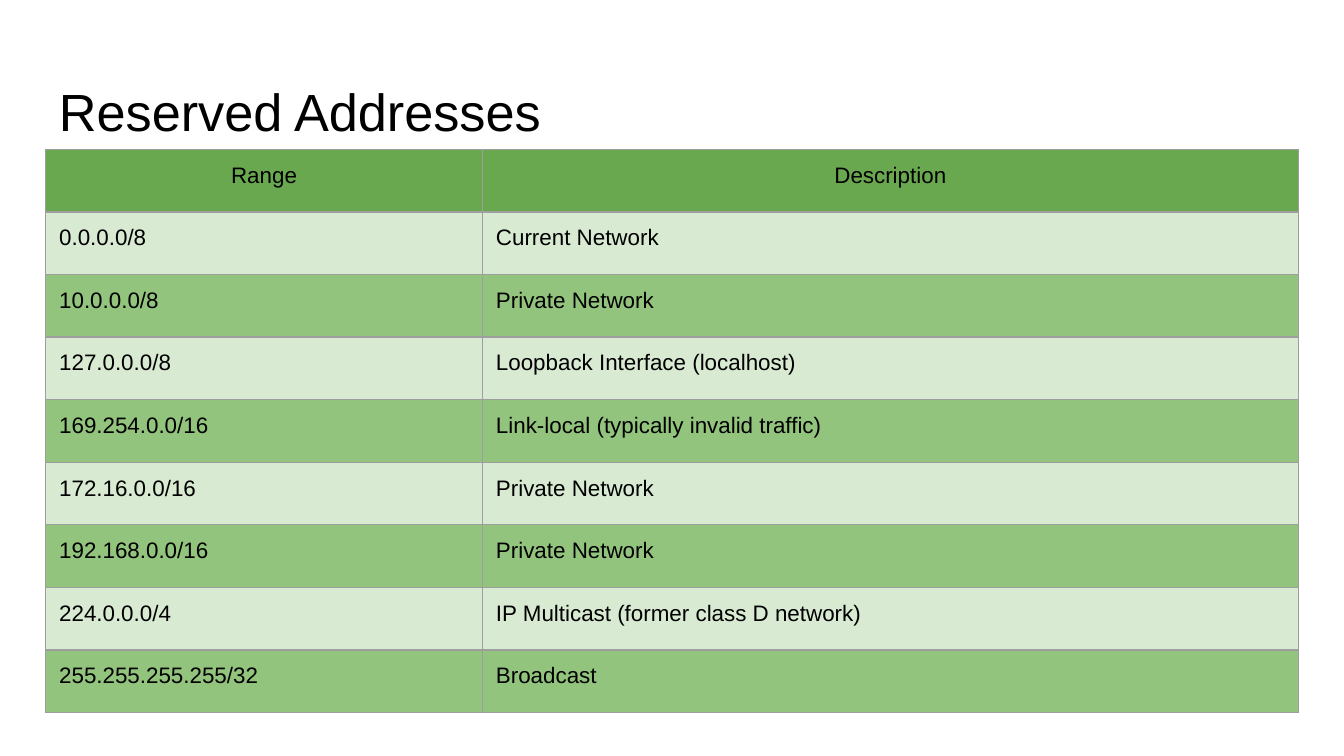
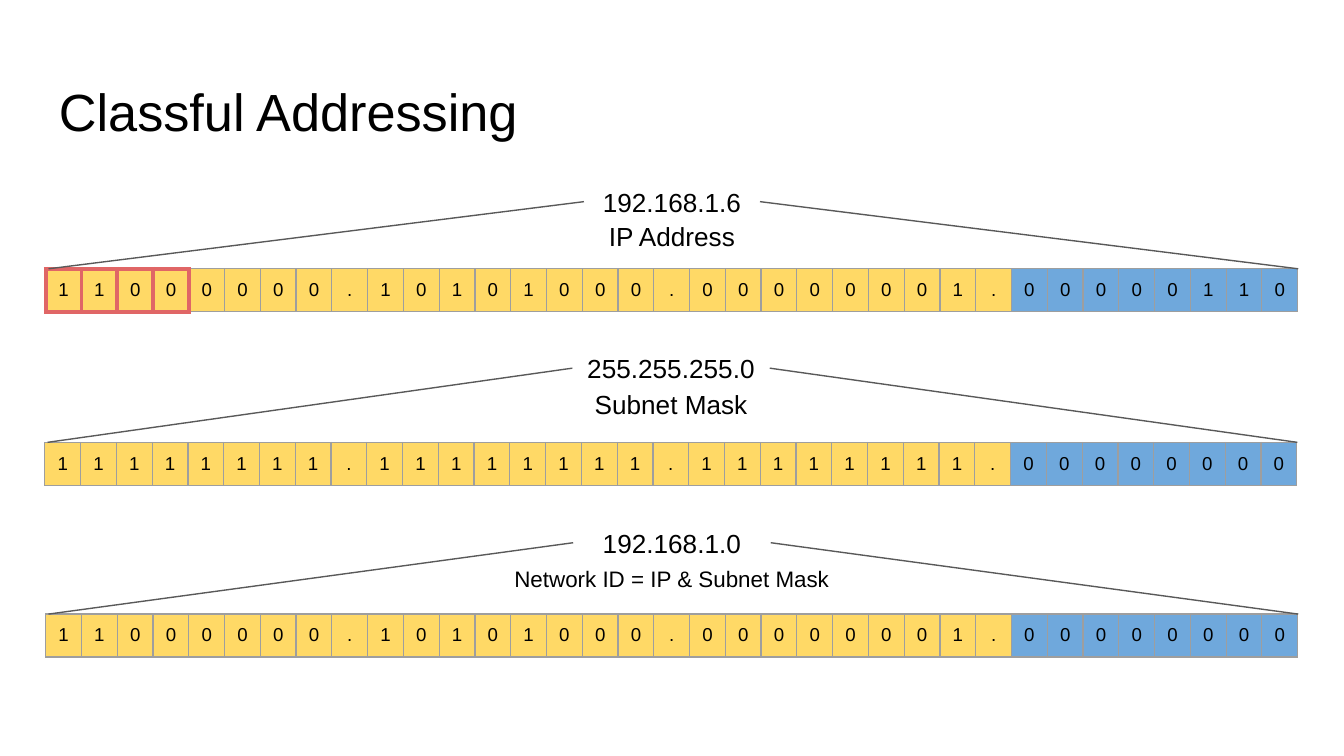
from dataclasses import dataclass
from lxml import etree
from pptx import Presentation
from pptx.dml.color import RGBColor
from pptx.enum.shapes import MSO_CONNECTOR
from pptx.enum.text import MSO_ANCHOR, PP_ALIGN
from pptx.oxml.ns import qn
from pptx.util import Pt

LEFT, MID = PP_ALIGN.LEFT, PP_ALIGN.CENTER
TOP, HALF = MSO_ANCHOR.TOP, MSO_ANCHOR.MIDDLE
LINE = MSO_CONNECTOR.STRAIGHT


@dataclass(frozen=True)
class Theme:
    font: str = "Arial"
    ink: str = "000000"
    ray: str = "595959"
    grid: str = "9E9E9E"
    mark: str = "E06666"
    head: str = "6AA84F"
    pale: str = "D9EAD3"
    green: str = "93C47D"
    net: str = "FFD966"
    host: str = "6FA8DC"
    title: int = 28
    label: int = 14
    body: int = 12
    bit: int = 10
    thin: float = 0.75
    thick: float = 2.25
    pad: float = 7.2


T = Theme()
X, WIDE = 24.5, 671
RANGES = [
    ("Range", "Description"),
    ("0.0.0.0/8", "Current Network"),
    ("10.0.0.0/8", "Private Network"),
    ("127.0.0.0/8", "Loopback Interface (localhost)"),
    ("169.254.0.0/16", "Link-local (typically invalid traffic)"),
    ("172.16.0.0/16", "Private Network"),
    ("192.168.0.0/16", "Private Network"),
    ("224.0.0.0/4", "IP Multicast (former class D network)"),
    ("255.255.255.255/32", "Broadcast"),
]


def write(frame, text, size=T.body, align=LEFT):
    par = frame.paragraphs[0]
    par.alignment = align
    run = par.add_run()
    run.text = text
    run.font.name = T.font
    run.font.size = Pt(size)
    run.font.color.rgb = RGBColor.from_string(T.ink)


def label(slide, text, box, anchor=HALF, **form):
    frame = slide.shapes.add_textbox(*map(Pt, box)).text_frame
    frame.word_wrap = True
    frame.vertical_anchor = anchor
    frame.margin_left = frame.margin_right = Pt(T.pad)
    frame.margin_top = frame.margin_bottom = Pt(T.pad)
    write(frame, text, **form)


def edge(cell, side, color, width):
    props = cell._tc.get_or_add_tcPr()
    line = etree.SubElement(props, qn("a:ln" + side), w=str(Pt(width)))
    fill = etree.SubElement(line, qn("a:solidFill"))
    etree.SubElement(fill, qn("a:srgbClr"), val=color)


def paint(cell, text, fill, pad=T.pad, anchor=TOP, marked="", **form):
    cell.margin_left = cell.margin_right = Pt(pad)
    cell.margin_top = cell.margin_bottom = Pt(pad)
    cell.vertical_anchor = anchor
    for side in "LRTB":
        if side in marked:
            edge(cell, side, T.mark, T.thick)
        else:
            edge(cell, side, T.grid, T.thin)
    cell.fill.solid()
    cell.fill.fore_color.rgb = RGBColor.from_string(fill)
    write(cell.text_frame, text, **form)


def grid(slide, box, rows, cols):
    table = slide.shapes.add_table(rows, len(cols), *map(Pt, box)).table
    table.first_row = table.horz_banding = False
    for col, width in zip(table.columns, cols):
        col.width = Pt(width)
    for row in table.rows:
        row.height = Pt(box[3] / rows)
    return table


def ray(slide, start, end):
    line = slide.shapes.add_connector(LINE, *map(Pt, start + end))
    line.line.color.rgb = RGBColor.from_string(T.ray)
    line.line.width = Pt(T.thin)
    etree.SubElement(line._element.spPr, qn("a:effectLst"))


def page(deck, title):
    slide = deck.slides.add_slide(deck.slide_layouts[6])
    label(slide, title, (X, 35.3, WIDE, 45), anchor=TOP, size=T.title)
    return slide


def ranges(slide, box):
    table = grid(slide, box, len(RANGES), (234, box[2] - 234))
    for r, row in enumerate(RANGES):
        fill = (T.green, T.pale)[r % 2] if r else T.head
        for c, text in enumerate(row):
            paint(table.cell(r, c), text, fill, align=LEFT if r else MID)


def bits(slide, box, address, marks):
    text = ".".join(f"{int(part):08b}" for part in address.split("."))
    table = grid(slide, box, 1, [box[2] / len(text)] * len(text))
    split = text.rindex(".")
    for c, bit in enumerate(text):
        marked = "LRTB" if c < marks else "L" if marks and c == marks else ""
        paint(table.cell(0, c), bit, T.net if c <= split else T.host,
              pad=0, anchor=HALF, marked=marked, size=T.bit, align=MID)


def fan(slide, box, address, name, size=T.label, span=105.8, gap=19.4, marks=0):
    x, y, wide, high = box
    bar, tall = 23, 24.5
    base, mid = y + high - bar, x + wide / 2
    bits(slide, (x, base, wide, bar), address, marks)
    label(slide, address, (mid - span / 2, y, span, tall),
          size=T.label, align=MID)
    label(slide, name, (mid - 105.5, y + gap, 211, tall),
          size=size, align=MID)
    for side, end in ((-1, x + 1.5), (1, x + wide)):
        ray(slide, (mid + side * span / 2, y + tall / 2), (end, base))


deck = Presentation()
deck.slide_width, deck.slide_height = Pt(720), Pt(405)

ranges(page(deck, "Reserved Addresses"), (X, 80, WIDE, 302))

slide = page(deck, "Classful Addressing")
fan(slide, (X, 95.8, WIDE, 71.2), "192.168.1.6", "IP Address",
    span=94.3, gap=18.7, marks=4)
fan(slide, (X - 0.5, 185, WIDE, 75), "255.255.255.0", "Subnet Mask")
fan(slide, (X, 278.5, WIDE, 73.5), "192.168.1.0",
    "Network ID = IP & Subnet Mask", size=T.body)

deck.save("out.pptx")
